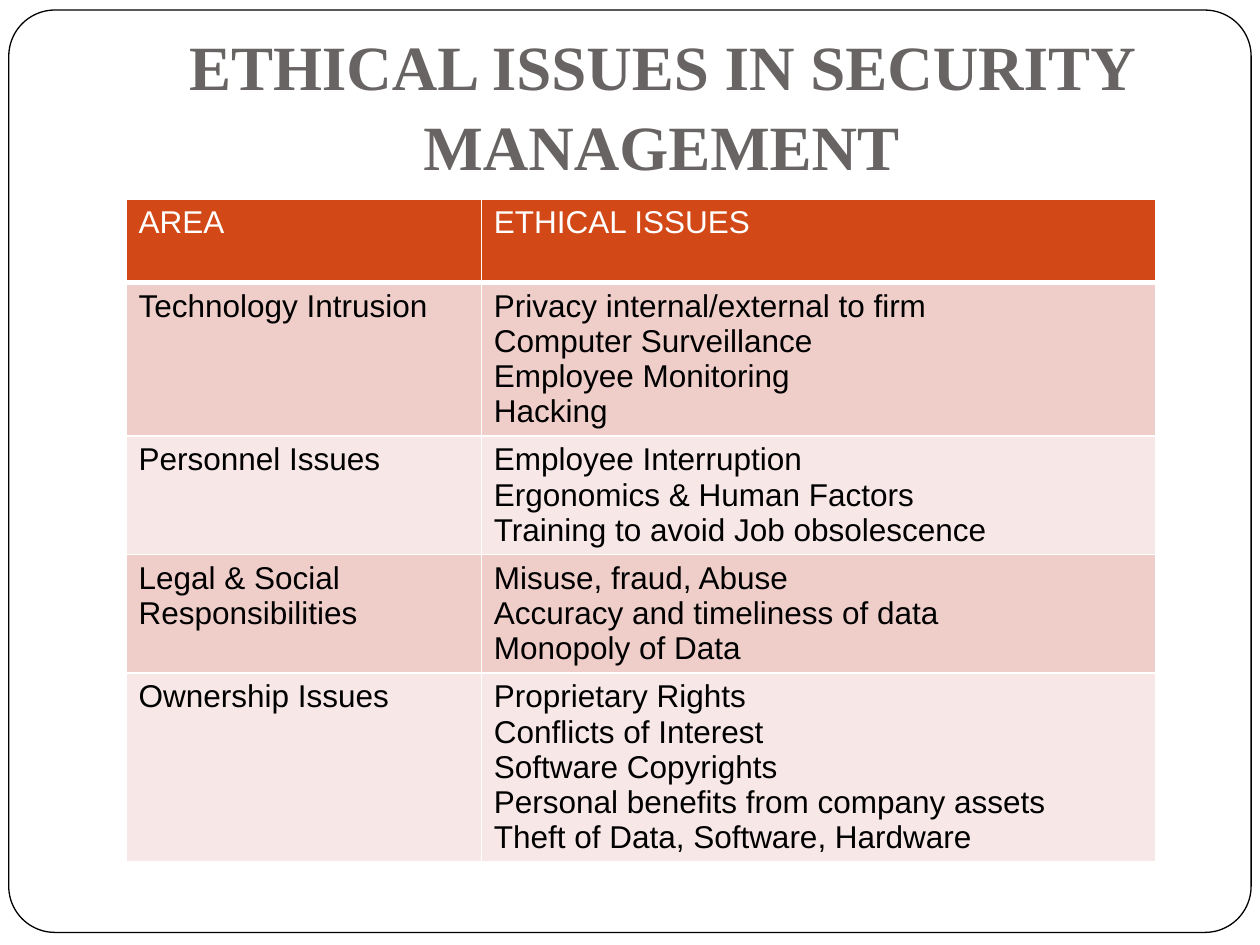
import pptx
import pptx.util
import pptx.dml.color
import pptx.enum.shapes
import pptx.enum.text
import pptx.oxml
from pptx.oxml.ns import nsdecls
from pptx.util import Inches

COLORS = {
    "white": "FFFFFF",
    "black": "000000",
    "title": "696464",
    "header": "D34817",
    "odd": "EFCECA",
    "even": "F7E8E7",
}

ROWS = [
    ("AREA", ["ETHICAL ISSUES"]),
    ("Technology Intrusion", [
        "Privacy internal/external to firm", "Computer Surveillance",
        "Employee Monitoring", "Hacking"]),
    ("Personnel Issues", [
        "Employee Interruption", "Ergonomics & Human Factors",
        "Training to avoid Job obsolescence"]),
    ("Legal & Social Responsibilities", [
        "Misuse, fraud, Abuse", "Accuracy and timeliness of data",
        "Monopoly of Data"]),
    ("Ownership Issues", [
        "Proprietary Rights", "Conflicts of Interest", "Software Copyrights",
        "Personal benefits from company assets",
        "Theft of Data, Software, Hardware"]),
]


def rgb(name):
    """Return the named colour."""
    return pptx.dml.color.RGBColor.from_string(COLORS[name])


def style_runs(tf, font, size, color, bold):
    """Format every run of a text frame."""
    for p in tf.paragraphs:
        for r in p.runs:
            r.font.name = font
            r.font.size = pptx.util.Pt(size)
            r.font.bold = bold
            r.font.color.rgb = rgb(color)


def add_frame(s):
    """Add the rounded page frame behind everything else."""
    sp = s.shapes.add_shape(
        pptx.enum.shapes.MSO_SHAPE.ROUNDED_RECTANGLE,
        Inches(0.07), Inches(0.08), Inches(9.86), Inches(7.32))
    sp.adjustments[0] = 0.05
    sp.shadow.inherit = False
    sp.fill.solid()
    sp.fill.fore_color.rgb = rgb("white")
    sp.line.color.rgb = rgb("black")
    sp.line.width = pptx.util.Pt(0.75)
    s.shapes._spTree.insert(2, sp._element)


def set_title(s, text):
    """Place and format the title placeholder."""
    sp = s.shapes.title
    sp.left, sp.top = Inches(1), Inches(0.3)
    sp.width, sp.height = Inches(8.5), Inches(1.25)
    tf = sp.text_frame
    tf.text = text
    tf.word_wrap = True
    tf.auto_size = pptx.enum.text.MSO_AUTO_SIZE.NONE
    tf.vertical_anchor = pptx.enum.text.MSO_ANCHOR.BOTTOM
    tf.margin_bottom = Inches(0.1)
    p = tf.paragraphs[0]
    p.alignment = pptx.enum.text.PP_ALIGN.CENTER
    p.line_spacing = 1.05
    style_runs(tf, "Times New Roman", 36, "title", True)


def set_borders(cell, top, bottom):
    """Draw white borders on a cell, with widths in points."""
    tcPr = cell._tc.get_or_add_tcPr()
    sides = {"lnL": 1, "lnR": 1, "lnT": top, "lnB": bottom}
    for i, (side, width) in enumerate(sides.items()):
        tcPr.insert(i, pptx.oxml.parse_xml(
            f'<a:{side} {nsdecls("a")} w="{pptx.util.Pt(width)}"><a:solidFill>'
            f'<a:srgbClr val="{COLORS["white"]}"/></a:solidFill></a:{side}>'))


def add_issue_table(s):
    """Add the table of areas and their ethical issues."""
    widths = (2.82, 5.35)
    row_height = 0.66
    table = s.shapes.add_table(
        len(ROWS), len(widths), Inches(1), Inches(1.58),
        Inches(sum(widths)), Inches(row_height * len(ROWS))).table
    for column, width in zip(table.columns, widths):
        column.width = Inches(width)
    for i, (area, issues) in enumerate(ROWS):
        table.rows[i].height = Inches(row_height)
        fill = "header" if i == 0 else "odd" if i % 2 else "even"
        for j, text in enumerate((area, "\n".join(issues))):
            cell = table.cell(i, j)
            cell.text_frame.text = text
            cell.fill.solid()
            cell.fill.fore_color.rgb = rgb(fill)
            style_runs(cell.text_frame, "Arial", 18,
                       "black" if i else "white", False)
            set_borders(cell, 3 if i == 1 else 1, 1 if i else 3)


def main():
    """Build the slide and save it."""
    prs = pptx.Presentation()
    prs.slide_width, prs.slide_height = Inches(10), Inches(7.5)
    s = prs.slides.add_slide(prs.slide_layouts[5])
    add_frame(s)
    set_title(s, "ETHICAL ISSUES IN SECURITY MANAGEMENT")
    add_issue_table(s)
    prs.save("out.pptx")


if __name__ == "__main__":
    main()
